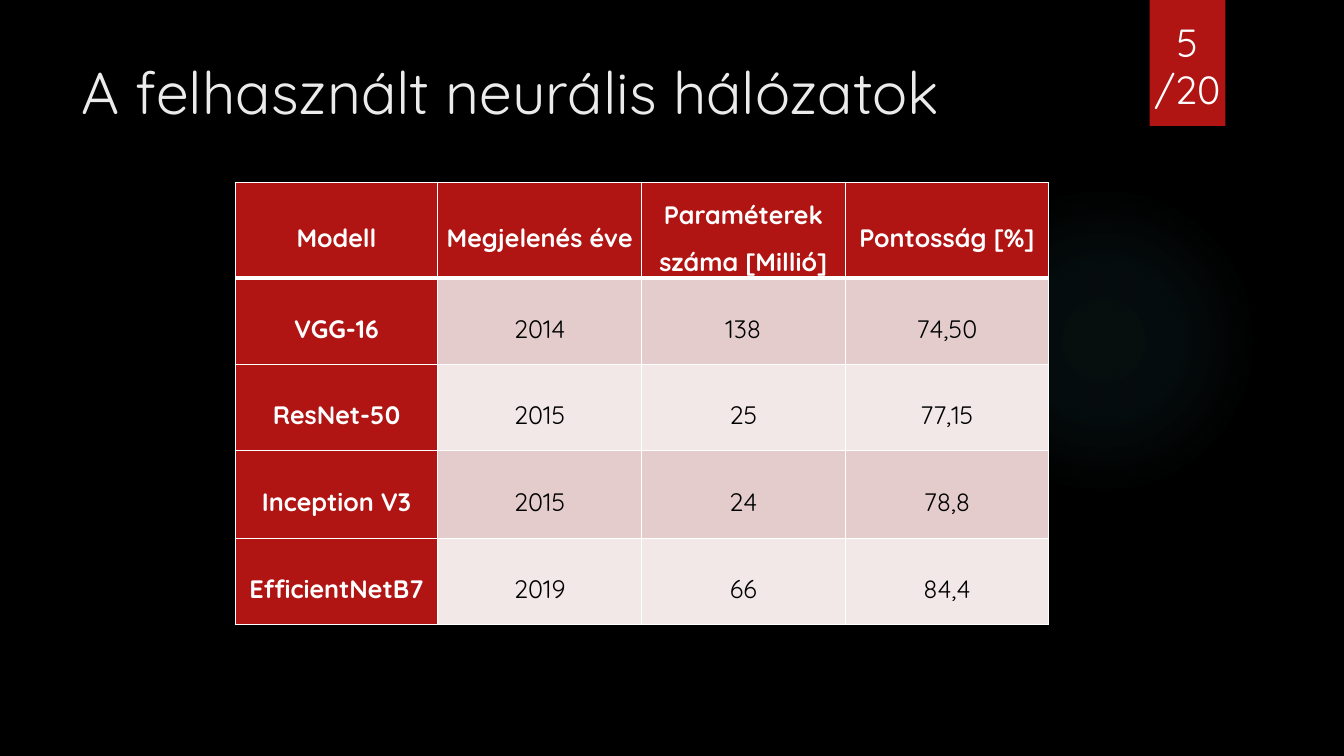
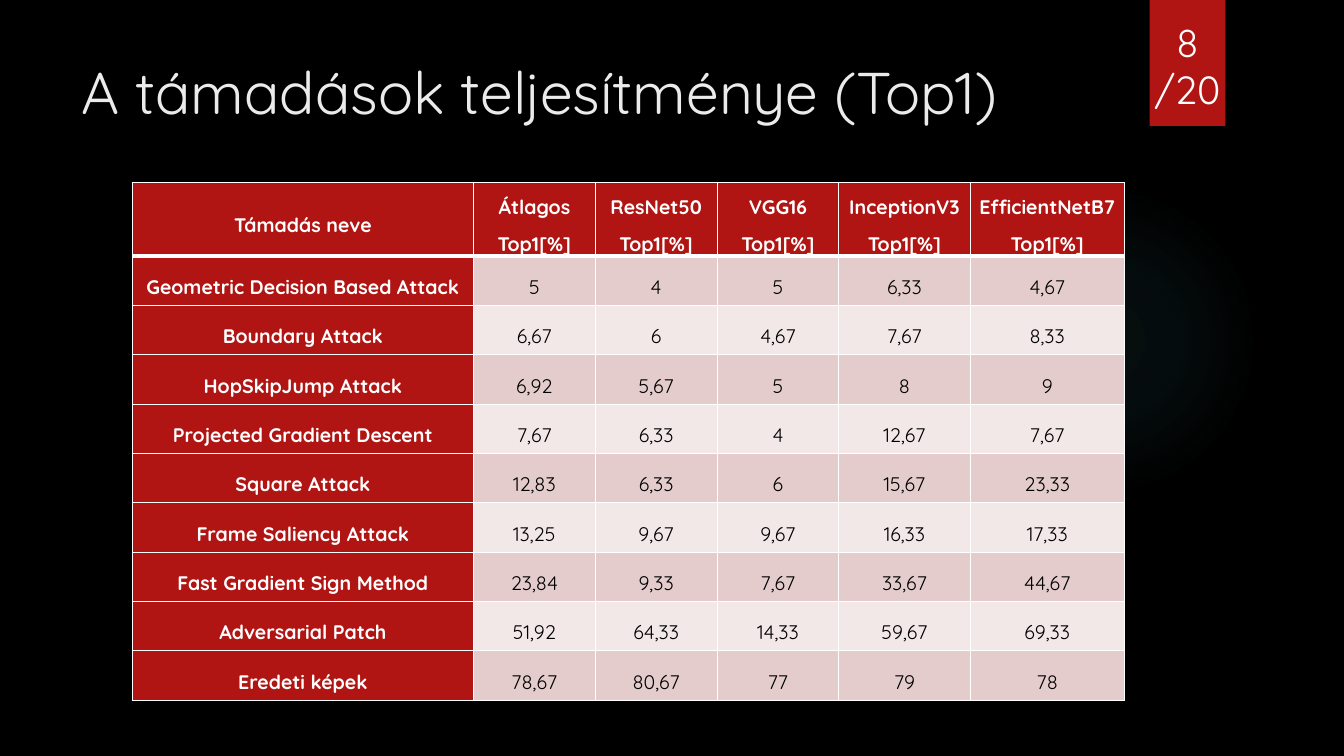
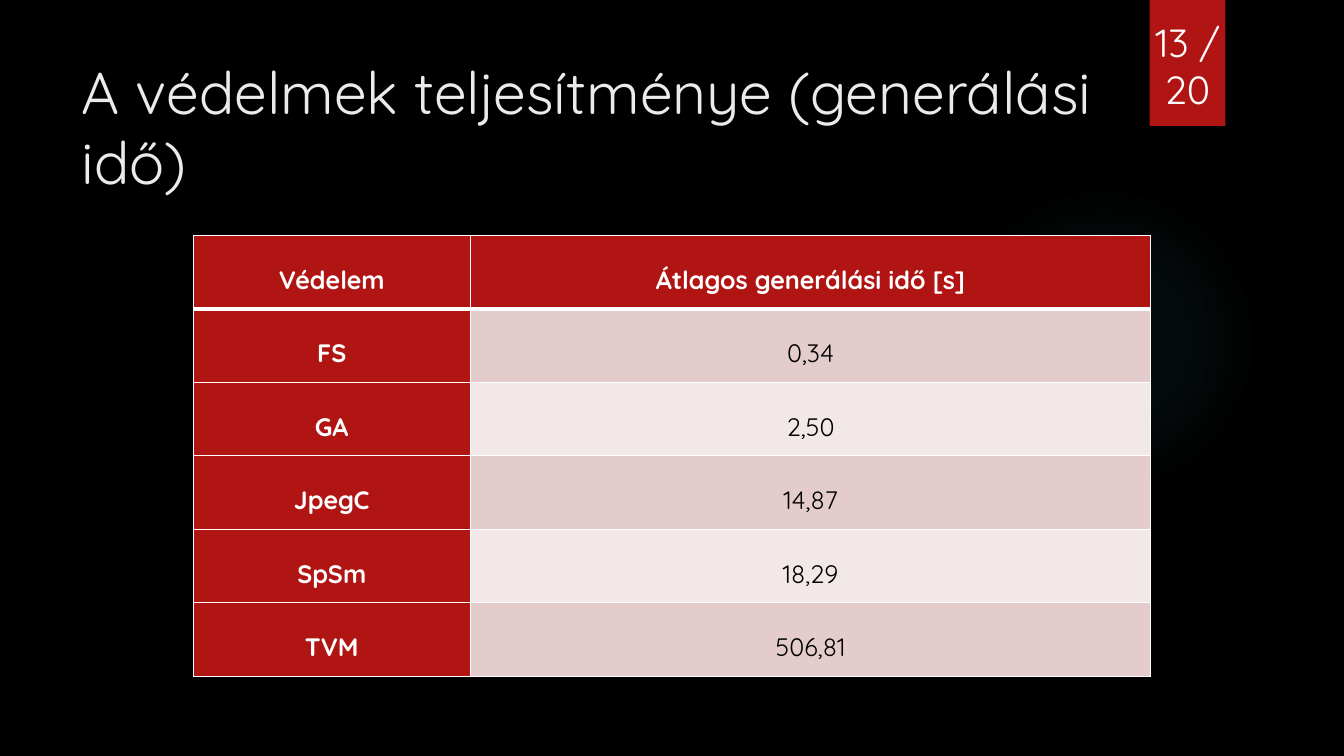
import dataclasses

import lxml.etree
import pptx
import pptx.dml.color
import pptx.enum.shapes
import pptx.enum.text
import pptx.oxml
import pptx.oxml.ns
import pptx.util

EMU_PER_PX = 9525
ALIGN = pptx.enum.text.PP_ALIGN
ANCHOR = pptx.enum.text.MSO_ANCHOR
SHAPES = pptx.enum.shapes.MSO_SHAPE


@dataclasses.dataclass(frozen=True)
class Theme:
    font: str = "Quicksand"
    background: str = "000000"
    title: str = "EBEBEB"
    accent: str = "B01513"
    light: str = "FFFFFF"
    dark: str = "000000"
    band_odd: str = "E4CCCC"
    band_even: str = "F2E8E7"
    glow: str = "50B9C1"
    title_size: int = 42
    number_size: int = 28
    table_size: int = 18
    small_table_size: int = 14
    border: int = 1
    header_border: int = 3


THEME = Theme()

MODEL_ROWS = [
    ("Modell", "Megjelenés éve", "Paraméterek száma [Millió]", "Pontosság [%]"),
    ("VGG-16", "2014", "138", "74,50"),
    ("ResNet-50", "2015", "25", "77,15"),
    ("Inception V3", "2015", "24", "78,8"),
    ("EfficientNetB7", "2019", "66", "84,4"),
]

ATTACK_ROWS = [
    ("Támadás neve", "Átlagos Top1[%]", "ResNet50 Top1[%]", "VGG16 Top1[%]",
     "InceptionV3 Top1[%]", "EfficientNetB7 Top1[%]"),
    ("Geometric Decision Based Attack", "5", "4", "5", "6,33", "4,67"),
    ("Boundary Attack", "6,67", "6", "4,67", "7,67", "8,33"),
    ("HopSkipJump Attack", "6,92", "5,67", "5", "8", "9"),
    ("Projected Gradient Descent", "7,67", "6,33", "4", "12,67", "7,67"),
    ("Square Attack", "12,83", "6,33", "6", "15,67", "23,33"),
    ("Frame Saliency Attack", "13,25", "9,67", "9,67", "16,33", "17,33"),
    ("Fast Gradient Sign Method", "23,84", "9,33", "7,67", "33,67", "44,67"),
    ("Adversarial Patch", "51,92", "64,33", "14,33", "59,67", "69,33"),
    ("Eredeti képek", "78,67", "80,67", "77", "79", "78"),
]

DEFENCE_ROWS = [
    ("Védelem", "Átlagos generálási idő [s]"),
    ("FS", "0,34"),
    ("GA", "2,50"),
    ("JpegC", "14,87"),
    ("SpSm", "18,29"),
    ("TVM", "506,81"),
]


def px(length):
    return pptx.util.Emu(length * EMU_PER_PX)


def rgb(color):
    return pptx.dml.color.RGBColor.from_string(color)


def fill_solid(target, color):
    target.fill.solid()
    target.fill.fore_color.rgb = rgb(color)


def style_paragraph(paragraph, size, color, alignment=ALIGN.CENTER, bold=False):
    paragraph.alignment = alignment
    paragraph.font.name = THEME.font
    paragraph.font.size = pptx.util.Pt(size)
    paragraph.font.bold = bold
    paragraph.font.color.rgb = rgb(color)


def add_plain_shape(slide, preset, left, top, width, height):
    shape = slide.shapes.add_shape(preset, px(left), px(top), px(width), px(height))
    shape.shadow.inherit = False
    shape.line.fill.background()
    return shape


def add_ribbon(slide):
    ribbon = add_plain_shape(slide, SHAPES.RECTANGLE, 1095, 0, 72, 120)
    fill_solid(ribbon, THEME.accent)
    return ribbon


def add_glow(slide):
    glow = add_plain_shape(slide, SHAPES.OVAL, 903, 176, 296, 296)
    glow.fill.gradient()
    stops = "".join(
        f'<a:gs pos="{position * 1000}"><a:srgbClr val="{THEME.glow}">'
        f'<a:alpha val="{alpha * 1000}"/></a:srgbClr></a:gs>'
        for position, alpha in ((0, 7), (36, 6), (69, 0))
    )
    gradient = pptx.oxml.parse_xml(
        f'<a:gradFill {pptx.oxml.ns.nsdecls("a")} rotWithShape="1">'
        f'<a:gsLst>{stops}</a:gsLst><a:path path="circle">'
        '<a:fillToRect l="50000" t="50000" r="50000" b="50000"/></a:path></a:gradFill>'
    )
    properties = glow.element.spPr
    properties.replace(properties.find(pptx.oxml.ns.qn("a:gradFill")), gradient)
    return glow


def decorate_layout(layout, slide):
    fill_solid(layout.background, THEME.background)
    for placeholder in list(layout.placeholders):
        if placeholder.placeholder_format.idx != 0:
            layout.shapes.element.remove(placeholder.element)
    for shape in (add_glow(slide), add_ribbon(slide)):
        layout.shapes.element.append(shape.element)


def set_title(slide, text):
    title = slide.shapes.title
    title.left, title.top, title.width, title.height = map(px, (68, 48, 988, 148))
    frame = title.text_frame
    frame.text = text
    frame.word_wrap = True
    frame.auto_size = pptx.enum.text.MSO_AUTO_SIZE.NONE
    frame.vertical_anchor = ANCHOR.TOP
    style_paragraph(frame.paragraphs[0], THEME.title_size, THEME.title, ALIGN.LEFT)


def add_page_number(slide, text):
    box = slide.shapes.add_textbox(px(1087), px(31), px(88), px(81))
    frame = box.text_frame
    frame.text = text
    frame.word_wrap = True
    frame.vertical_anchor = ANCHOR.BOTTOM
    for paragraph in frame.paragraphs:
        style_paragraph(paragraph, THEME.number_size, THEME.light)


def set_borders(cell, top, bottom):
    properties = cell._tc.get_or_add_tcPr()
    sides = {"lnL": THEME.border, "lnR": THEME.border, "lnT": top, "lnB": bottom}
    for side, width in sides.items():
        line = lxml.etree.SubElement(
            properties, pptx.oxml.ns.qn(f"a:{side}"), w=str(pptx.util.Pt(width))
        )
        fill = lxml.etree.SubElement(line, pptx.oxml.ns.qn("a:solidFill"))
        lxml.etree.SubElement(fill, pptx.oxml.ns.qn("a:srgbClr"), val=THEME.light)


def format_cell(cell, text, row, column, size, margin):
    is_heading = row == 0 or column == 0
    band = THEME.band_odd if row % 2 else THEME.band_even
    set_borders(
        cell,
        THEME.header_border if row == 1 else THEME.border,
        THEME.header_border if row == 0 else THEME.border,
    )
    fill_solid(cell, THEME.accent if is_heading else band)
    cell.margin_left = cell.margin_right = px(margin)
    cell.margin_top = cell.margin_bottom = 0
    cell.vertical_anchor = ANCHOR.MIDDLE
    cell.text = text
    paragraph = cell.text_frame.paragraphs[0]
    paragraph.line_spacing = 1.5
    style_paragraph(
        paragraph, size, THEME.light if is_heading else THEME.dark, bold=is_heading
    )


def add_data_table(slide, rows, left, top, widths, heights, size, margin):
    table = slide.shapes.add_table(
        len(rows), len(widths), px(left), px(top), px(sum(widths)), px(sum(heights))
    ).table
    table.first_row = table.horz_banding = False
    for column, width in zip(table.columns, widths):
        column.width = px(width)
    for row, height in zip(table.rows, heights):
        row.height = px(height)
    for row, texts in enumerate(rows):
        for column, text in enumerate(texts):
            format_cell(table.cell(row, column), text, row, column, size, margin)


def main():
    presentation = pptx.Presentation()
    presentation.slide_width = px(1280)
    presentation.slide_height = px(720)
    layout = presentation.slide_layouts[5]
    headings = [
        ("A felhasznált neurális hálózatok", "5\n/20"),
        ("A támadások teljesítménye (Top1)", "8\n/20"),
        ("A védelmek teljesítménye (generálási idő)", "13 /20"),
    ]
    slides = [presentation.slides.add_slide(layout) for _ in headings]
    decorate_layout(layout, slides[0])
    for slide, (title, number) in zip(slides, headings):
        set_title(slide, title)
        add_page_number(slide, number)

    models, attacks, defences = slides
    add_data_table(models, MODEL_ROWS, 224, 174, [193] + [194] * 3,
                   [91, 82, 82, 84, 82], THEME.table_size, 7)
    add_data_table(attacks, ATTACK_ROWS, 126, 174, [325, 116, 116, 116, 125, 147],
                   [70] + [47] * 9, THEME.small_table_size, 4)
    add_data_table(defences, DEFENCE_ROWS, 184, 224, [264, 648],
                   [70] * 6, THEME.table_size, 6)
    presentation.save("out.pptx")


if __name__ == "__main__":
    main()
